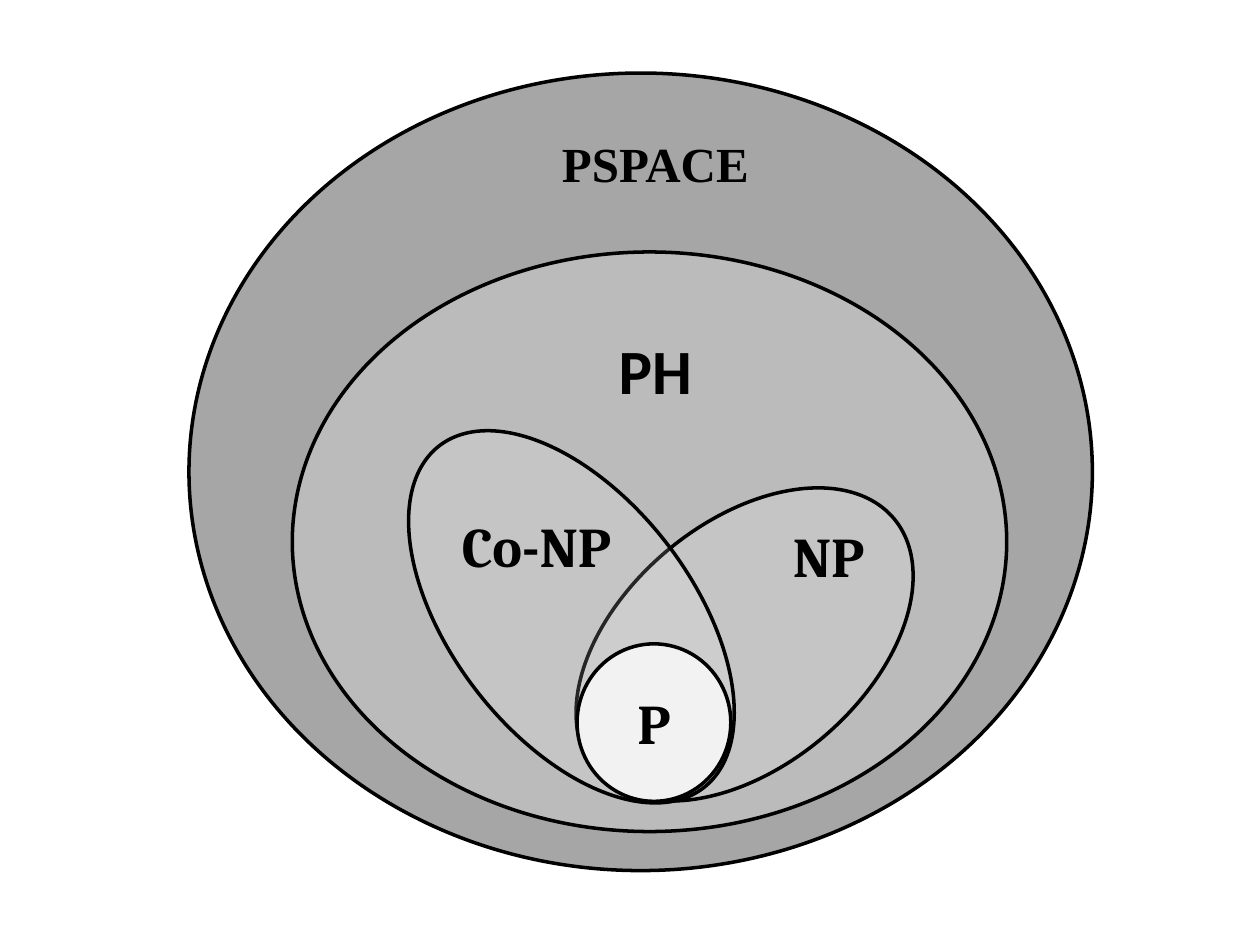
from pptx import Presentation
from pptx import util as u
from pptx.dml.color import RGBColor
from pptx.enum import shapes, text
from pptx.oxml.ns import qn
from lxml import etree

THEME = {
    "ink": "000000", "pspace": "A6A6A6", "ph": "BFBFBF", "np": "FFFFFF", "p": "F2F2F2",
    "outline": 2, "small": 28, "medium": 32, "large": 36,
    "serif": "Cambria", "sans": "Calibri", "roman": "Times New Roman",
}

deck = Presentation()
deck.slide_width, deck.slide_height = u.Inches(10), u.Inches(7.5)
slide = deck.slides.add_slide(deck.slide_layouts[6])


def add_class(box, fill, opacity=100, rotation=0):
    """Draw one complexity class as an outlined ellipse."""
    region = slide.shapes.add_shape(shapes.MSO_SHAPE.OVAL, *map(u.Inches, box))
    region.shadow.inherit = False
    region.rotation = rotation
    region.fill.solid()
    region.fill.fore_color.rgb = RGBColor.from_string(THEME[fill])
    if opacity < 100:
        color = region.fill._xPr.find(qn("a:solidFill"))[0]
        etree.SubElement(color, qn("a:alpha"), val=str(opacity * 1000))
    region.line.color.rgb = RGBColor.from_string(THEME["ink"])
    region.line.width = u.Pt(THEME["outline"])
    return region


def write(holder, words, font="serif", size="medium",
          align=text.PP_ALIGN.RIGHT, anchor=text.MSO_ANCHOR.TOP):
    """Write a bold label into a shape or text box."""
    frame = holder.text_frame
    frame.word_wrap = True
    frame.vertical_anchor = anchor
    paragraph = frame.paragraphs[0]
    paragraph.alignment = align
    run = paragraph.add_run()
    run.text = words
    run.font.name = THEME[font]
    run.font.size = u.Pt(THEME[size])
    run.font.bold = True
    run.font.color.rgb = RGBColor.from_string(THEME["ink"])


# Nested classes, outermost first
add_class((1.5, 0.58, 7.17, 6.33), "pspace")
add_class((2.32, 2, 5.67, 4.6), "ph", opacity=85)
add_class((4.36, 4.15, 3.1, 1.93), "np", opacity=15, rotation=319.8)
add_class((2.82, 3.94, 3.43, 1.91), "np", opacity=15, rotation=232.3)
p_class = add_class((4.58, 5.11, 1.22, 1.25), "p")
write(p_class, "P", align=text.PP_ALIGN.CENTER, anchor=text.MSO_ANCHOR.MIDDLE)

# Class names
labels = [
    ("NP", (5.8, 4.09, 1.16, 0.82), {}),
    ("Co-NP", (3.27, 4.01, 1.68, 0.82), {}),
    ("PH", (4.58, 2.58, 1.01, 0.71), {"font": "sans", "size": "large"}),
    ("PSPACE", (4.21, 0.97, 1.83, 0.64),
     {"font": "roman", "size": "small", "anchor": text.MSO_ANCHOR.MIDDLE}),
]
for name, box, style in labels:
    write(slide.shapes.add_textbox(*map(u.Inches, box)), name, **style)

deck.save("out.pptx")
